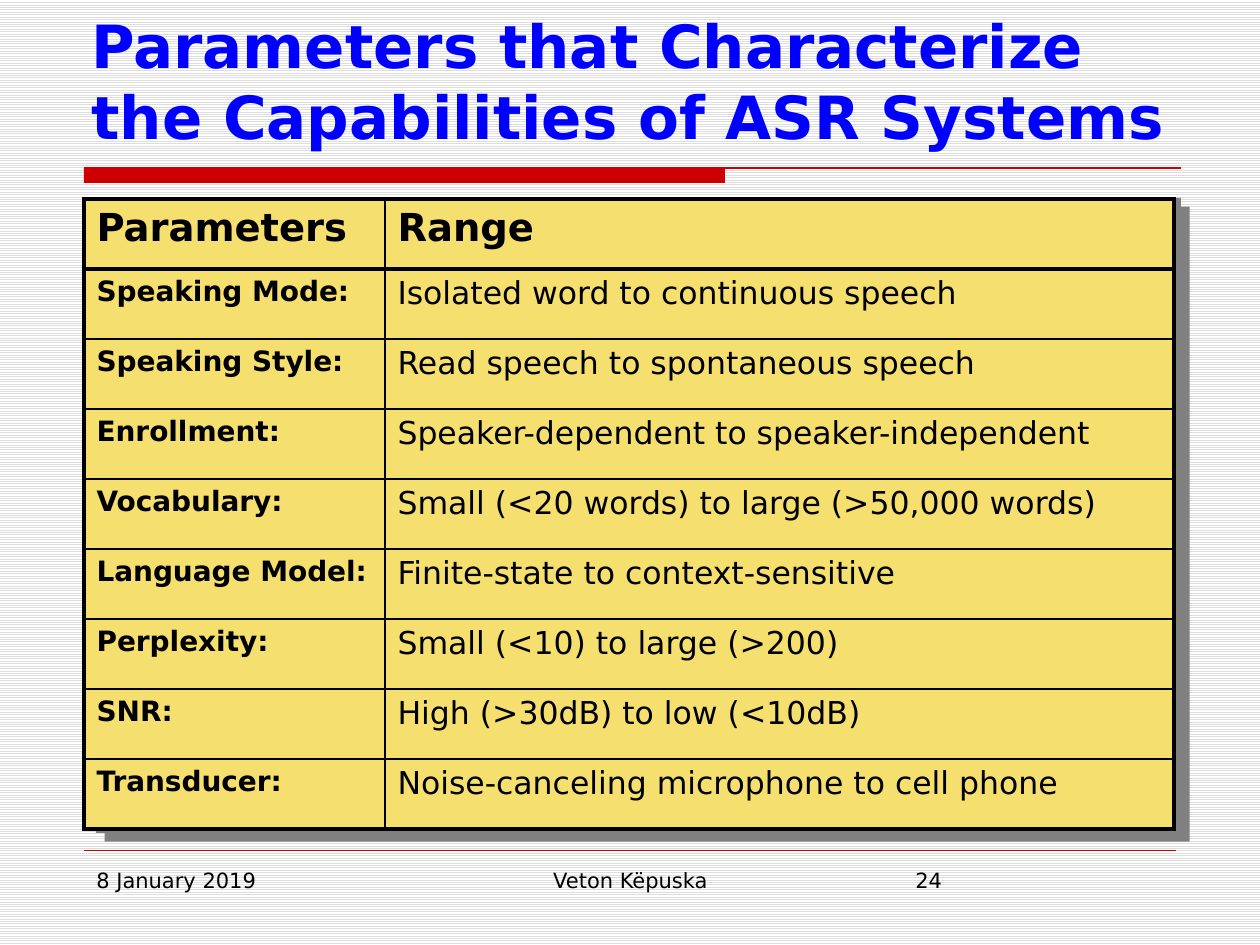
"""Builds a slide with a table of ASR system parameters and their ranges."""
from lxml import etree
from pptx import Presentation
from pptx.dml.color import RGBColor
from pptx.enum.dml import MSO_PATTERN
from pptx.enum.shapes import MSO_CONNECTOR, MSO_SHAPE
from pptx.enum.text import MSO_ANCHOR, MSO_AUTO_SIZE, PP_ALIGN
from pptx.oxml.ns import qn
from pptx.util import Emu, Pt

LIGHT_HORIZONTAL = MSO_PATTERN.LIGHT_HORIZONTAL
STRAIGHT = MSO_CONNECTOR.STRAIGHT
RECTANGLE = MSO_SHAPE.RECTANGLE
TOP, BOTTOM = MSO_ANCHOR.TOP, MSO_ANCHOR.BOTTOM
NO_AUTOFIT = MSO_AUTO_SIZE.NONE
LEFT, CENTER = PP_ALIGN.LEFT, PP_ALIGN.CENTER

PARAMETERS = [
    ("Parameters", "Range"),
    ("Speaking Mode:", "Isolated word to continuous speech"),
    ("Speaking Style:", "Read speech to spontaneous speech"),
    ("Enrollment:", "Speaker-dependent to speaker-independent"),
    ("Vocabulary:", "Small (<20 words) to large (>50,000 words)"),
    ("Language Model:", "Finite-state to context-sensitive"),
    ("Perplexity:", "Small (<10) to large (>200)"),
    ("SNR:", "High (>30dB) to low (<10dB)"),
    ("Transducer:", "Noise-canceling microphone to cell phone"),
]
FOOTERS = [
    ("8 January 2019", 84, 273, LEFT),
    ("Veton Këpuska", 431, 399, CENTER),
    ("24", 903, 273, LEFT),
]


def px(length):
    return Emu(round(length * 914400 / 126))


def rgb(value):
    return RGBColor.from_string(value)


class SlideBuilder:
    font = "DejaVu Sans"
    ink = "000000"
    red = "CC0000"
    blue = "0000FF"
    gray = "808080"
    yellow = "F5DF6F"
    thin, thick = 1, 2.25

    def __init__(self, slide):
        self.slide = slide

    def background(self, stripe, paper):
        fill = self.slide.background.fill
        fill.patterned()
        fill.pattern = LIGHT_HORIZONTAL
        fill.fore_color.rgb = rgb(stripe)
        fill.back_color.rgb = rgb(paper)

    def set_text(self, frame, text, size, color=ink, bold=False, align=LEFT):
        frame.text = text
        paragraph = frame.paragraphs[0]
        paragraph.alignment = align
        for run in paragraph.runs:
            run.font.name = self.font
            run.font.size = Pt(size)
            run.font.bold = bold
            run.font.color.rgb = rgb(color)

    def title(self, text, left, top, width, height):
        title = self.slide.shapes.title
        title.left, title.top = px(left), px(top)
        title.width, title.height = px(width), px(height)
        frame = title.text_frame
        frame.auto_size = NO_AUTOFIT
        frame.word_wrap = True
        frame.vertical_anchor = BOTTOM
        self.set_text(frame, text, 34, self.blue, bold=True)

    def label(self, text, left, top, width, height, align):
        box = self.slide.shapes.add_textbox(px(left), px(top), px(width), px(height))
        box.text_frame.word_wrap = True
        self.set_text(box.text_frame, text, 12, align=align)

    def rectangle(self, left, top, width, height, color):
        shape = self.slide.shapes.add_shape(
            RECTANGLE, px(left), px(top), px(width), px(height))
        shape.shadow.inherit = False
        shape.fill.solid()
        shape.fill.fore_color.rgb = rgb(color)
        shape.line.fill.background()
        return shape

    def cast_shadow(self, shape, color, distance, degrees):
        effects = shape._element.spPr.find(qn("a:effectLst"))
        shadow = etree.SubElement(
            effects, qn("a:outerShdw"), dist=str(Pt(distance)),
            dir=str(degrees * 60000), algn="ctr", rotWithShape="0")
        etree.SubElement(shadow, qn("a:srgbClr"), val=color)

    def rule(self, left, right, y, weight):
        line = self.slide.shapes.add_connector(
            STRAIGHT, px(left), px(y), px(right), px(y))
        line.line.color.rgb = rgb(self.red)
        line.line.width = Pt(weight)
        etree.SubElement(line._element.spPr, qn("a:effectLst"))

    def border(self, cell, side, weight):
        properties = cell._tc.get_or_add_tcPr()
        edge = etree.SubElement(properties, qn(f"a:ln{side}"), w=str(Pt(weight)))
        fill = etree.SubElement(edge, qn("a:solidFill"))
        etree.SubElement(fill, qn("a:srgbClr"), val=self.ink)

    def table(self, rows, left, top, widths, row_height):
        table = self.slide.shapes.add_table(
            len(rows), len(widths), px(left), px(top),
            px(sum(widths)), px(row_height * len(rows))).table
        table.first_row = table.horz_banding = False
        for column, width in zip(table.columns, widths):
            column.width = px(width)
        last_row, last_column = len(rows) - 1, len(widths) - 1
        for r, texts in enumerate(rows):
            table.rows[r].height = px(row_height)
            for c, text in enumerate(texts):
                cell = table.cell(r, c)
                heavy = {"L": c == 0, "R": c == last_column,
                         "T": r <= 1, "B": r in (0, last_row)}
                for side, is_heavy in heavy.items():
                    self.border(cell, side, self.thick if is_heavy else self.thin)
                cell.fill.solid()
                cell.fill.fore_color.rgb = rgb(self.yellow)
                cell.vertical_anchor = TOP
                size = 22 if r == 0 else 16 if c == 0 else 18
                self.set_text(cell.text_frame, text, size, bold=r == 0 or c == 0)


def main():
    presentation = Presentation()
    presentation.slide_width, presentation.slide_height = px(1260), px(945)
    title_only = presentation.slide_layouts[5]
    builder = SlideBuilder(presentation.slides.add_slide(title_only))

    builder.background("DDDDDD", "FFFFFF")
    builder.rectangle(84, 168, 641, 15, builder.red)
    builder.rule(84, 1181, 168, 0.75)
    builder.rule(84, 1176, 850, 0.25)
    for text, left, width, align in FOOTERS:
        builder.label(text, left, 861, width, 65, align)
    backing = builder.rectangle(96, 198, 1085, 635, builder.gray)
    builder.cast_shadow(backing, builder.gray, 7.1, 45)
    builder.title("Parameters that Characterize the Capabilities of ASR Systems",
                  79, 42, 1103, 116)
    builder.table(PARAMETERS, 84, 199, (301, 789), 70)
    presentation.save("out.pptx")


if __name__ == "__main__":
    main()
